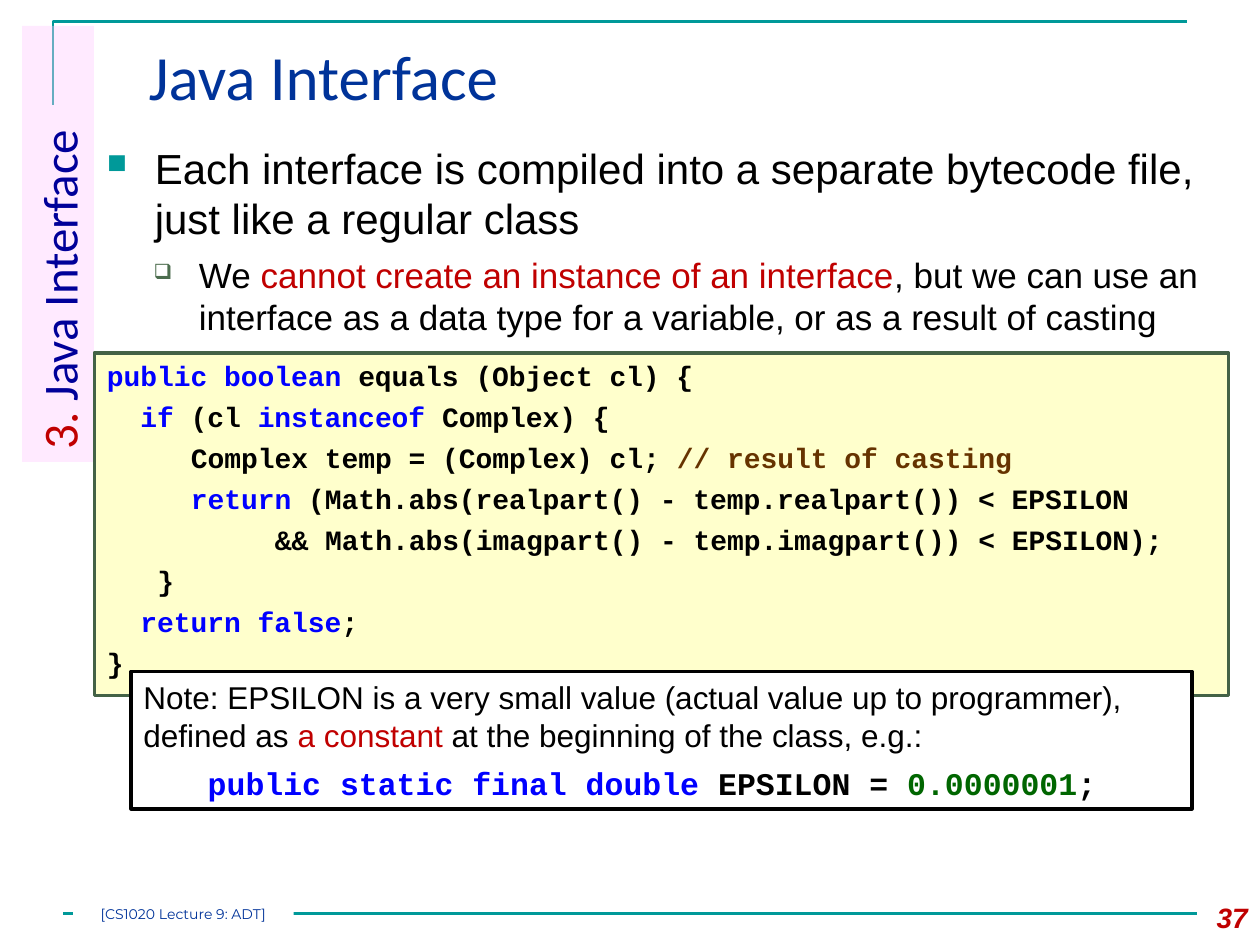
from lxml.etree import SubElement
from pptx import Presentation
from pptx.dml.color import RGBColor
from pptx.enum.shapes import MSO_CONNECTOR, MSO_SHAPE
from pptx.enum.text import MSO_ANCHOR, MSO_AUTO_SIZE, PP_ALIGN
from pptx.oxml.ns import qn
from pptx.util import Inches, Pt

TEAL = RGBColor(0x00, 0x99, 0x99)
NAVY = RGBColor(0x00, 0x33, 0x99)
INDIGO = RGBColor(0x00, 0x00, 0x99)
RED = RGBColor(0xC0, 0x00, 0x00)
BLACK = RGBColor(0x00, 0x00, 0x00)
WHITE = RGBColor(0xFF, 0xFF, 0xFF)
PINK = RGBColor(0xFF, 0xCC, 0xFF)
CREAM = RGBColor(0xFF, 0xFF, 0xCC)
MOSS = RGBColor(0x44, 0x62, 0x46)
SAGE = RGBColor(0x4C, 0x6D, 0x4E)
KEYWORD = RGBColor(0x00, 0x00, 0xFF)
COMMENT = RGBColor(0x66, 0x33, 0x00)
NUMBER = RGBColor(0x00, 0x66, 0x00)

BODY, HEADING, CODE = "Arial", "Calibri", "Courier New"
CODE_SIZE = 16
CODE_CHAR = Pt(CODE_SIZE * 0.6)  # advance width of one monospaced character

# Each line: columns of indentation, then its coloured pieces
CODE_LINES = [
    (0, [("public boolean ", KEYWORD), ("equals (Object cl) {", BLACK)]),
    (2, [("if", KEYWORD), (" (cl ", BLACK), ("instanceof", KEYWORD), (" Complex) {", BLACK)]),
    (5, [("Complex temp = (Complex) cl; ", BLACK), ("// result of casting", COMMENT)]),
    (5, [("return", KEYWORD),
         (" (Math.abs(realpart() - temp.realpart()) < EPSILON", BLACK)]),
    (10, [("&& Math.abs(imagpart() - temp.imagpart()) < EPSILON);", BLACK)]),
    (3, [("}", BLACK)]),
    (2, [("return false", KEYWORD), (";", BLACK)]),
    (0, [("}", BLACK)]),
]


def add_runs(paragraph, pieces, font, size, bold=False, italic=False):
    for text, color in pieces:
        run = paragraph.add_run()
        run.text = text
        run.font.name = font
        run.font.size = Pt(size)
        run.font.bold = bold
        run.font.italic = italic
        run.font.color.rgb = color


def set_indent(paragraph, margin, hanging=0):
    properties = paragraph._p.get_or_add_pPr()
    properties.set("marL", str(int(margin)))
    properties.set("indent", str(-int(hanging)))
    return properties


def set_bullet(paragraph, symbol, color, percent, margin, hanging):
    properties = set_indent(paragraph, margin, hanging)
    bullet_color = SubElement(properties, qn("a:buClr"))
    SubElement(bullet_color, qn("a:srgbClr"), val=str(color))
    SubElement(properties, qn("a:buSzPct"), val=str(percent * 1000))
    SubElement(properties, qn("a:buChar"), char=symbol)


def add_panel(slide, box, fill, border=None, anchor=MSO_ANCHOR.TOP):
    """Add a flat rectangle with left-aligned, wrapping text."""
    panel = slide.shapes.add_shape(MSO_SHAPE.RECTANGLE, *map(Inches, box))
    panel.shadow.inherit = False
    panel.fill.solid()
    panel.fill.fore_color.rgb = fill
    if border is None:
        panel.line.fill.background()
    else:
        panel.line.color.rgb = border
        panel.line.width = Pt(2)
    panel.text_frame.word_wrap = True
    panel.text_frame.vertical_anchor = anchor
    panel.text_frame.paragraphs[0].alignment = PP_ALIGN.LEFT
    return panel


def add_corner_rule(slide, box):
    left, top, width, height = map(Inches, box)
    builder = slide.shapes.build_freeform(left, top + height)
    builder.add_line_segments([(left, top), (left + width, top)], close=False)
    corner = builder.convert_to_shape()
    corner.shadow.inherit = False
    corner.fill.background()
    corner.line.color.rgb = TEAL
    corner.line.width = Pt(1.5)


def add_footer_rule(slide, left, right, y):
    rule = slide.shapes.add_connector(
        MSO_CONNECTOR.STRAIGHT, Inches(left), Inches(y), Inches(right), Inches(y))
    rule.line.color.rgb = TEAL
    rule.line.width = Pt(1.5)
    SubElement(rule._element.spPr, qn("a:effectLst"))


def place_title(slide, box):
    title = slide.shapes.title
    title.left, title.top, title.width, title.height = map(Inches, box)
    frame = title.text_frame
    frame.auto_size = MSO_AUTO_SIZE.NONE
    frame.vertical_anchor = MSO_ANCHOR.TOP
    frame.paragraphs[0].alignment = PP_ALIGN.LEFT
    add_runs(frame.paragraphs[0], [("Java Interface", NAVY)], HEADING, 36)


def add_page_number(slide, box):
    frame = slide.shapes.add_textbox(*map(Inches, box)).text_frame
    frame.word_wrap = True
    frame.paragraphs[0].alignment = PP_ALIGN.RIGHT
    add_runs(frame.paragraphs[0], [("37", RED)], BODY, 16, bold=True, italic=True)


def add_points(slide, box):
    frame = slide.shapes.add_textbox(*map(Inches, box)).text_frame
    frame.word_wrap = True
    point, detail = frame.paragraphs[0], frame.add_paragraph()
    point.space_before = detail.space_before = Pt(6)
    detail.level = 1
    set_bullet(point, "■", TEAL, 65, Inches(0.38), Inches(0.38))
    add_runs(point, [("Each interface is compiled into a separate bytecode file, "
                      "just like a regular class", BLACK)], BODY, 24)
    set_bullet(detail, "❑", SAGE, 60, Inches(0.73), Inches(0.36))
    add_runs(detail, [
        ("We ", BLACK),
        ("cannot create an instance of an interface", RED),
        (", but we can use an interface as a data type for a variable, "
         "or as a result of casting", BLACK),
    ], BODY, 20)


def add_section_tab(slide, box):
    tab = add_panel(slide, box, PINK, anchor=MSO_ANCHOR.MIDDLE)
    tab.rotation = 270
    fill_color = tab.fill._xPr.find(qn("a:solidFill"))[0]
    SubElement(fill_color, qn("a:alpha"), val="40000")
    add_runs(tab.text_frame.paragraphs[0],
             [("3. ", RED), ("Java Interface", INDIGO)], HEADING, 28)


def add_code(slide, box):
    frame = add_panel(slide, box, CREAM, MOSS).text_frame
    for number, (columns, pieces) in enumerate(CODE_LINES):
        line = frame.add_paragraph() if number else frame.paragraphs[0]
        line.alignment = PP_ALIGN.LEFT
        line.space_before = Pt(4.2)
        set_indent(line, columns * CODE_CHAR)
        add_runs(line, pieces, CODE, CODE_SIZE, bold=True)


def add_footer_label(slide, box):
    frame = add_panel(slide, box, WHITE, anchor=MSO_ANCHOR.MIDDLE).text_frame
    frame.margin_left = frame.margin_right = frame.margin_top = frame.margin_bottom = 0
    frame.paragraphs[0].alignment = PP_ALIGN.CENTER
    add_runs(frame.paragraphs[0], [("[CS1020 Lecture 9: ADT]", NAVY)], "Montserrat", 8)


def add_note(slide, box):
    frame = add_panel(slide, box, WHITE, BLACK, MSO_ANCHOR.MIDDLE).text_frame
    remark, constant = frame.paragraphs[0], frame.add_paragraph()
    remark.space_after = Pt(6)
    add_runs(remark, [
        ("Note: EPSILON is a very small value (actual value up to programmer), "
         "defined as ", BLACK),
        ("a constant ", RED),
        ("at the beginning of the class, e.g.:", BLACK),
    ], BODY, 18)
    constant.alignment = PP_ALIGN.LEFT
    set_indent(constant, Inches(0.51))
    add_runs(constant, [
        ("public static final double ", KEYWORD), ("EPSILON = ", BLACK),
        ("0.0000001", NUMBER), (";", BLACK),
    ], CODE, 18, bold=True)


def main():
    deck = Presentation()
    deck.slide_width, deck.slide_height = Inches(10), Inches(7.5)
    slide = deck.slides.add_slide(deck.slide_layouts[5])
    add_corner_rule(slide, (0.42, 0.17, 9, 0.66))
    add_footer_rule(slide, 0.5, 9.5, 7.25)
    place_title(slide, (1.08, 0.25, 8.67, 0.86))
    add_page_number(slide, (9.33, 7.1, 0.67, 0.4))
    add_points(slide, (0.75, 1.08, 8.92, 1.72))
    add_section_tab(slide, (-1.27, 1.65, 3.46, 0.57))
    add_code(slide, (0.75, 2.8, 9, 2.72))
    add_footer_label(slide, (0.58, 7.17, 1.75, 0.17))
    add_note(slide, (1.04, 5.33, 8.42, 1.09))
    deck.save("out.pptx")


if __name__ == "__main__":
    main()
